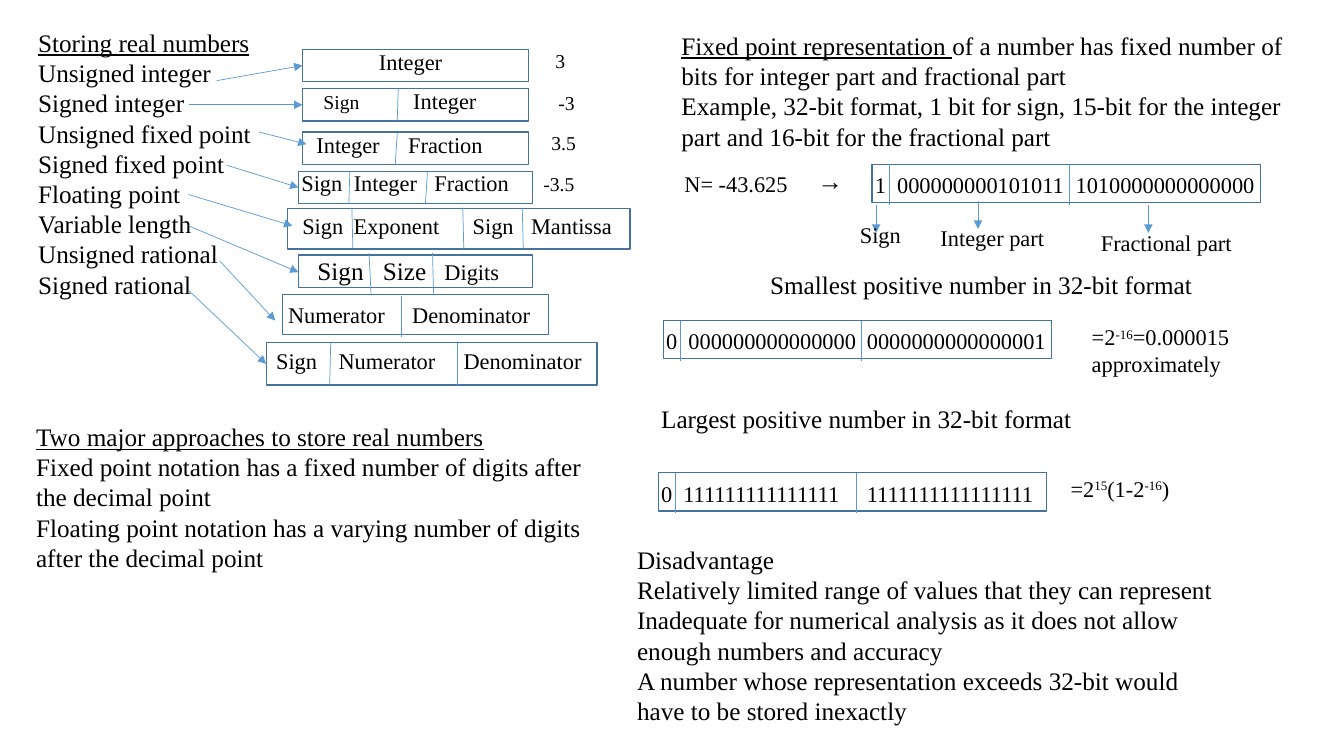
from dataclasses import dataclass

from lxml.etree import SubElement
from pptx import Presentation
from pptx.dml.color import RGBColor
from pptx.enum.shapes import MSO_CONNECTOR, MSO_SHAPE
from pptx.enum.text import MSO_AUTO_SIZE
from pptx.oxml.ns import qn
from pptx.util import Inches, Pt


@dataclass(frozen=True)
class Theme:
    font: str = "Times New Roman"
    ink: RGBColor = RGBColor(0x00, 0x00, 0x00)
    frame: RGBColor = RGBColor(0x43, 0x73, 0x9E)
    rule: RGBColor = RGBColor(0x5B, 0x9B, 0xD5)
    body: int = 18
    field: int = 16
    small: int = 14
    frame_width: float = 1
    rule_width: float = 0.5


theme = Theme()
INSET = 0.1
presentation = Presentation()
presentation.slide_width, presentation.slide_height = Inches(13.33), Inches(7.5)
slide = presentation.slides.add_slide(presentation.slide_layouts[6])


def write(paragraphs, left, top, width, height, size=theme.body, tabs=(), wrap=True):
    """Add a text box; a paragraph is a string or a list of (text, format) runs.

    Tabs are measured in inches from the left edge of the slide.
    """
    frame = slide.shapes.add_textbox(
        Inches(left), Inches(top), Inches(width), Inches(height)).text_frame
    frame.word_wrap = wrap
    frame.auto_size = MSO_AUTO_SIZE.SHAPE_TO_FIT_TEXT
    for index, runs in enumerate(paragraphs):
        paragraph = frame.add_paragraph() if index else frame.paragraphs[0]
        if tabs:
            tab_list = SubElement(paragraph._p.get_or_add_pPr(), qn("a:tabLst"))
            for tab in tabs:
                SubElement(tab_list, qn("a:tab"),
                           pos=str(Inches(tab - left - INSET)), algn="l")
        for text, style in [(runs, {})] if isinstance(runs, str) else runs:
            run = paragraph.add_run()
            run.text = text
            run.font.name = theme.font
            run.font.size = Pt(style.get("size", size))
            run.font.color.rgb = theme.ink
            if style.get("underline"):
                run.font.underline = True
            if style.get("superscript"):
                run.font._element.set("baseline", "30000")


def draw_line(x1, y1, x2, y2, arrow=False):
    line = slide.shapes.add_connector(
        MSO_CONNECTOR.STRAIGHT, Inches(x1), Inches(y1), Inches(x2), Inches(y2))
    line.line.color.rgb = theme.rule
    line.line.width = Pt(theme.rule_width)
    if arrow:
        SubElement(line.line._get_or_add_ln(), qn("a:tailEnd"), type="triangle")
    SubElement(line._element.spPr, qn("a:effectLst"))


underlined = {"underline": True}
raised = {"superscript": True}
small, large = {"size": theme.small}, {"size": theme.body}

# Passages of text
write([[("Storing real numbers", underlined)],
       "Unsigned integer", "Signed integer", "Unsigned fixed point",
       "Signed fixed point", "Floating point", "Variable length",
       "Unsigned rational", "Signed rational"], 0.28, 0.22, 2.36, 2.83)
write([[("Two major approaches to store real numbers", underlined)],
       "Fixed point notation has a fixed number of digits after the decimal point",
       "Floating point notation has a varying number of digits after the decimal point"],
      0.26, 4.13, 5.67, 1.62)
write([[("Fixed point representation ", underlined),
        ("of a number has fixed number of bits for integer part and fractional part", {})],
       "Example, 32-bit format, 1 bit for sign, 15-bit for the integer part "
       "and 16-bit for the fractional part"], 6.66, 0.25, 6.41, 1.31)
write(["Disadvantage",
       "Relatively limited range of values that they can represent",
       "Inadequate for numerical analysis as it does not allow enough numbers and accuracy",
       "A number whose representation exceeds 32-bit would have to be stored inexactly"],
      6.22, 5.35, 6.04, 1.92)
write(["Smallest positive number in 32-bit format"], 7.54, 2.62, 4.43, 0.4)
write(["Largest positive number in 32-bit format"], 6.46, 3.95, 4.43, 0.4)

# Storage layouts: frame, text box, fields, field starts after the first,
# dividers as (top x, bottom x), divider top and bottom
layouts = [
    ((3, 0.49, 2.24, 0.32), (3.66, 0.43, 0.91, 0.37),
     [("Integer", {})], [], [], (0, 0)),
    ((3, 0.88, 2.24, 0.32), (3.11, 0.82, 1.75, 0.37),
     [("Sign", small), ("Integer", {})], [4.1], [(3.95, 3.94)], (0.88, 1.2)),
    ((3, 1.31, 2.24, 0.32), (3.04, 1.25, 1.91, 0.37),
     [("Integer", {}), ("Fraction", {})], [4.05], [(3.94, 3.92)], (1.32, 1.64)),
    ((2.96, 1.7, 2.32, 0.32), (2.89, 1.63, 2.45, 0.37),
     [("Sign", {}), ("Integer", {}), ("Fraction", {})], [3.51, 4.31],
     [(3.47, 3.46), (4.24, 4.22)], (1.7, 2.02)),
    ((2.85, 2.07, 3.4, 0.4), (2.9, 2.06, 3.4, 0.37),
     [("Sign", {}), ("Exponent", {}), ("Sign", {}), ("Mantissa", {})],
     [3.51, 4.69, 5.27], [(3.49, 3.5), (4.59, 4.6), (5.18, 5.19)], (2.06, 2.47)),
    ((2.96, 2.53, 2.32, 0.32), (3.05, 2.48, 2.18, 0.4),
     [("Sign", large), ("Size", large), ("Digits", {})], [3.8, 4.41],
     [(3.66, 3.68), (4.29, 4.3)], (2.51, 2.91)),
    ((2.8, 2.92, 2.64, 0.4), (2.76, 2.94, 2.77, 0.37),
     [("Numerator", {}), ("Denominator", {})], [4.09], [(3.98, 3.98)], (2.94, 3.34)),
    ((2.64, 3.4, 3.28, 0.42), (2.64, 3.39, 3.41, 0.37),
     [("Sign", {}), ("Numerator", {}), ("Denominator", {})], [3.36, 4.6],
     [(3.28, 3.27), (4.54, 4.54)], (3.4, 3.82)),
]

# 32-bit words share one geometry: sign, integer bits, fraction bits
for left, top, bits, fraction_start in [
    (8.65, 1.63, ("1", "000000000101011", "1010000000000000"), 2.02),
    (6.58, 3.18, ("0", "000000000000000", "0000000000000001"), 2.02),
    (6.53, 4.69, ("0", "111111111111111", "1111111111111111"), 2.07),
]:
    layouts.append((
        (left, top, 3.85, 0.38), (left - 0.07, top + 0.02, 4.13, 0.37),
        [(group, {}) for group in bits], [left + 0.25, left + fraction_start],
        [(left + offset,) * 2 for offset in (0.17, 1.96)], (top, top + 0.4)))

for frame, box, fields, starts, dividers, (divider_top, divider_bottom) in layouts:
    outline = slide.shapes.add_shape(MSO_SHAPE.RECTANGLE, *map(Inches, frame))
    outline.shadow.inherit = False
    outline.fill.background()
    outline.line.color.rgb = theme.frame
    outline.line.width = Pt(theme.frame_width)
    tabbed = fields[:1] + [("\t" + text, style) for text, style in fields[1:]]
    write([tabbed], *box, size=theme.field, tabs=starts)
    for top_x, bottom_x in dividers:
        draw_line(top_x, divider_top, bottom_x, divider_bottom)

# Arrows from storage names to layouts, then from bits to their meaning
for arrow in [
    (2.15, 0.8, 3, 0.65), (1.87, 1.04, 3, 1.04), (2.57, 1.31, 3.04, 1.43),
    (2.25, 1.64, 2.96, 1.86), (1.87, 1.93, 2.9, 2.24), (1.87, 2.24, 2.96, 2.7),
    (2.18, 2.59, 2.73, 3.18), (1.87, 2.88, 2.64, 3.61),
    (8.69, 2.03, 8.69, 2.31), (9.7, 1.99, 9.7, 2.27), (11.39, 2.03, 11.39, 2.31),
]:
    draw_line(*arrow, arrow=True)

# Sample values beside the layouts
for value, left, top, width in [
    ("3", 5.41, 0.44, 0.27), ("-3", 5.44, 0.85, 0.4),
    ("3.5", 5.37, 1.25, 0.49), ("-3.5", 5.29, 1.66, 0.58),
]:
    write([value], left, top, width, 0.34, size=theme.small)

# Labels and results around the 32-bit words
for label, left, top, width, height in [
    ("N= -43.625", 6.69, 1.64, 1.33, 0.37),
    ("Sign", 8.43, 2.14, 0.65, 0.37),
    ("Integer part", 9.23, 2.17, 1.3, 0.37),
    ("Fractional part", 10.82, 2.22, 1.64, 0.37),
    ([("=2", {}), ("-16", raised), ("=0.000015 approximately", {})],
     10.73, 3.16, 1.64, 0.64),
    ([("=2", {}), ("15", raised), ("(1-2", {}), ("-16", raised), (")", {})],
     10.52, 4.66, 1.45, 0.37),
]:
    write([label], left, top, width, height, size=theme.field)
write(["→"], 8.01, 1.59, 0.45, 0.4, wrap=False)

presentation.save("out.pptx")
